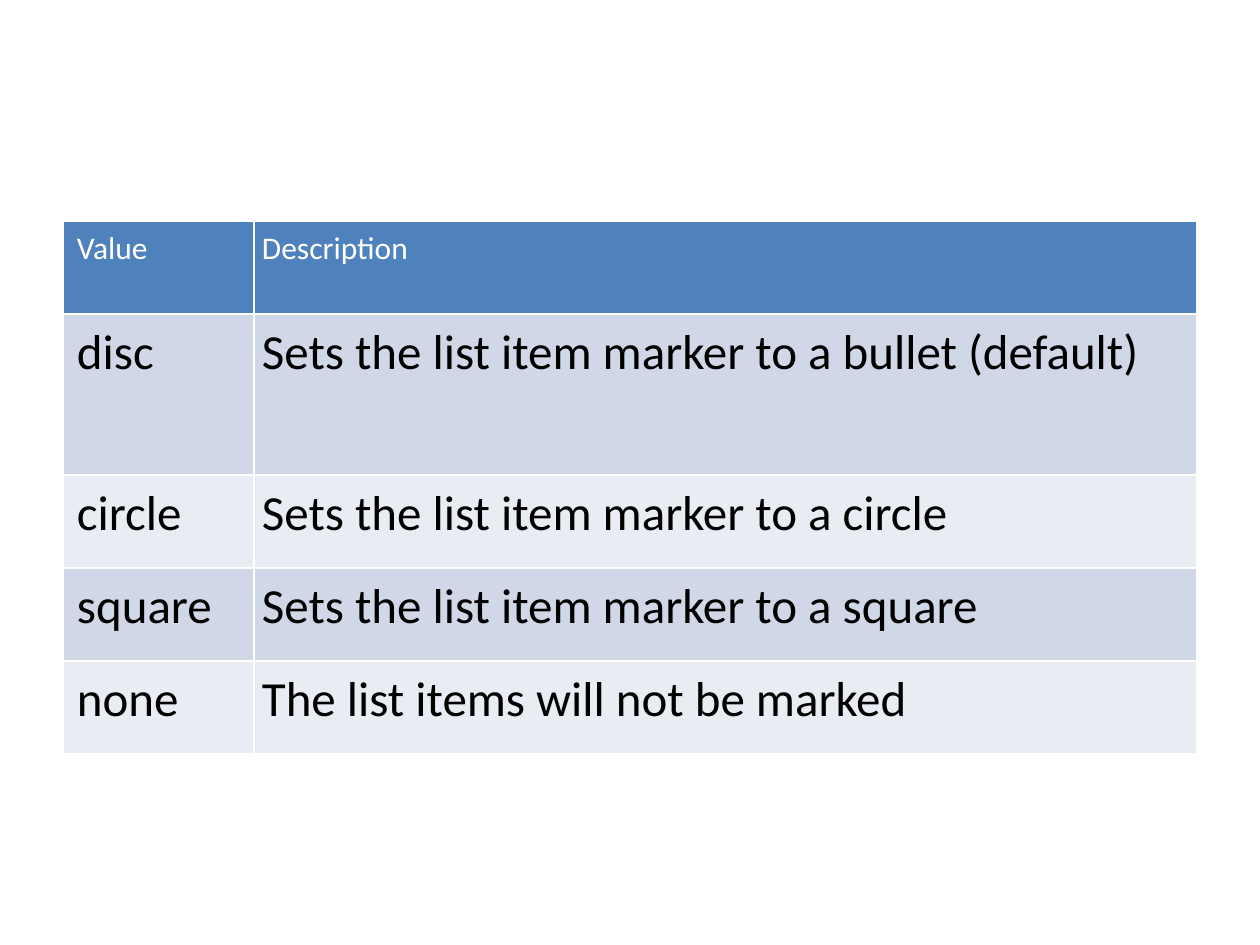
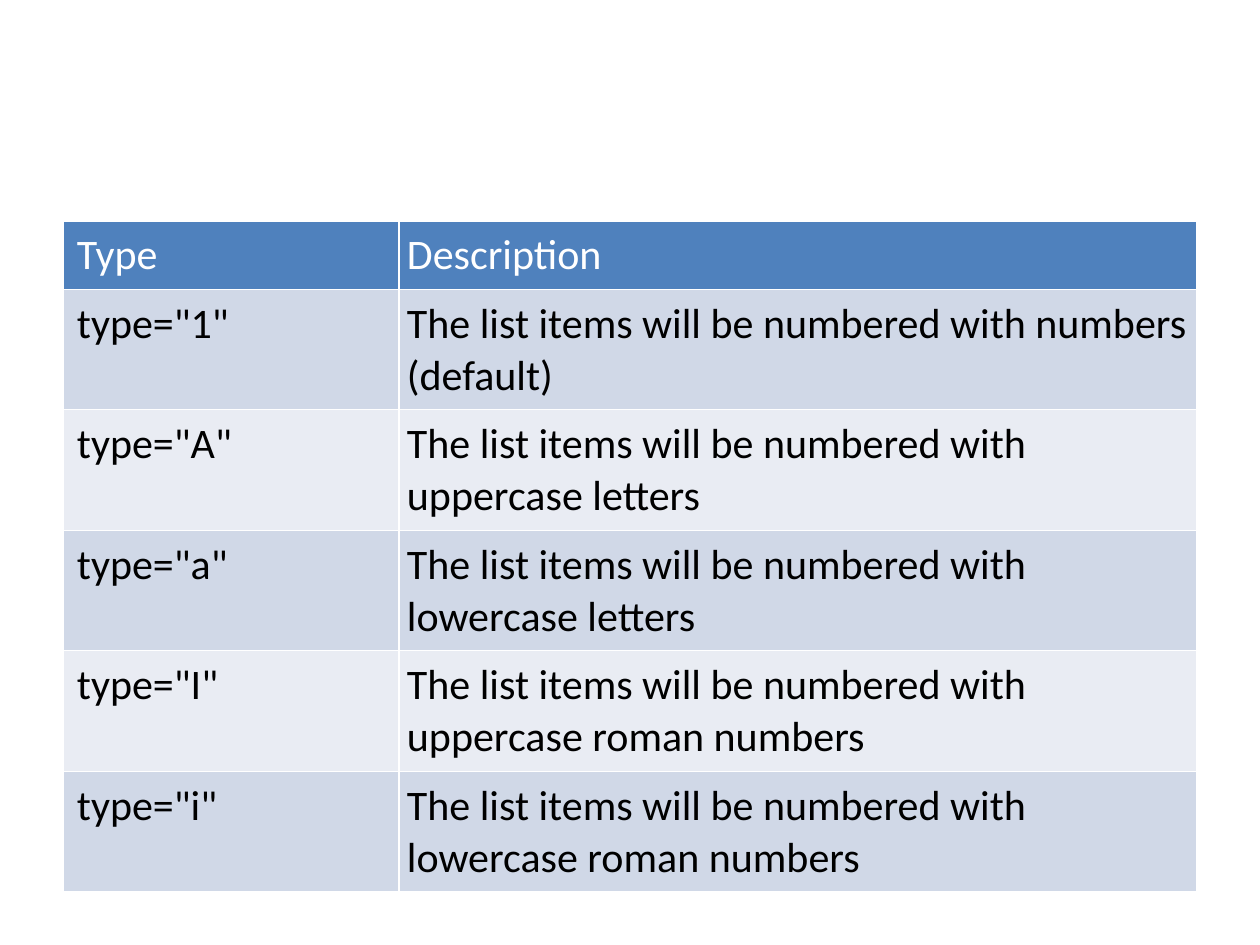
import pptx
import pptx.util
import pptx.dml.color
import pptx.oxml
import pptx.oxml.ns

EMU_PER_PX = 914400 / 126
PAGE_WIDTH, PAGE_HEIGHT = 1260, 945
TABLE_LEFT, TABLE_TOP = 63, 221
TABLE_WIDTH = PAGE_WIDTH - 2 * TABLE_LEFT
CELL_MARGIN, FIRST_MARGIN = 8, 14
FONT = "Calibri"
LINE_SPACING = 1.02
BORDER_POINTS = 0.91
COLORS = {
    "header": "4F81BD",
    "odd": "D0D8E7",
    "even": "E9ECF3",
    "border": "FFFFFF",
    "header_text": "FFFFFF",
    "text": "000000",
}

MARKER_ROWS = [
    ("Value", "Description"),
    ("disc", "Sets the list item marker to a bullet (default)"),
    ("circle", "Sets the list item marker to a circle"),
    ("square", "Sets the list item marker to a square"),
    ("none", "The list items will not be marked"),
]
NUMBERING = [
    ("1", "numbers (default)"),
    ("A", "uppercase letters"),
    ("a", "lowercase letters"),
    ("I", "uppercase roman numbers"),
    ("i", "lowercase roman numbers"),
]
TYPE_ROWS = [("Type", "Description")] + [
    (f'type="{mark}"', f"The list items will be numbered with {kind}")
    for mark, kind in NUMBERING
]


def px(length):
    return pptx.util.Emu(round(length * EMU_PER_PX))


def rgb(name):
    return pptx.dml.color.RGBColor.from_string(COLORS[name])


def set_borders(cell):
    # Border lines must precede the fill inside the cell properties
    properties = cell._tc.get_or_add_tcPr()
    for position, side in enumerate(("lnL", "lnR", "lnT", "lnB")):
        line = pptx.oxml.parse_xml(
            f'<a:{side} {pptx.oxml.ns.nsdecls("a")} w="{pptx.util.Pt(BORDER_POINTS)}">'
            f'<a:solidFill><a:srgbClr val="{COLORS["border"]}"/></a:solidFill></a:{side}>'
        )
        properties.insert(position, line)


def fill_cell(cell, text, fill, text_color, size, left_margin):
    cell.margin_left = px(left_margin)
    cell.margin_right = cell.margin_top = cell.margin_bottom = px(CELL_MARGIN)
    cell.fill.solid()
    cell.fill.fore_color.rgb = rgb(fill)
    set_borders(cell)

    cell.text_frame.text = text
    para = cell.text_frame.paragraphs[0]
    para.line_spacing = LINE_SPACING
    font = para.runs[0].font
    font.name, font.size, font.bold = FONT, pptx.util.Pt(size), False
    font.color.rgb = rgb(text_color)


def add_table_page(deck, rows, first_width, row_heights, header_size, body_size):
    page = deck.slides.add_slide(deck.slide_layouts[6])
    table = page.shapes.add_table(
        len(rows), 2, px(TABLE_LEFT), px(TABLE_TOP), px(TABLE_WIDTH), px(sum(row_heights))
    ).table

    # Column widths and row heights
    table.columns[0].width = px(first_width)
    table.columns[1].width = px(TABLE_WIDTH - first_width)
    for row, height in zip(table.rows, row_heights):
        row.height = px(height)

    # Header row, then alternating bands
    for row_number, texts in enumerate(rows):
        if row_number == 0:
            style = ("header", "header_text", header_size)
        else:
            style = ("odd" if row_number % 2 else "even", "text", body_size)
        for column, text in enumerate(texts):
            margin = CELL_MARGIN if column else FIRST_MARGIN
            fill_cell(table.cell(row_number, column), text, *style, margin)


def main():
    deck = pptx.Presentation()
    deck.slide_width, deck.slide_height = px(PAGE_WIDTH), px(PAGE_HEIGHT)

    # Markers of unordered lists
    add_table_page(deck, MARKER_ROWS, 191, [93, 161, 93, 93, 93], 18, 28)
    # Numbering types of ordered lists
    add_table_page(deck, TYPE_ROWS, 336, [65] + [118] * len(NUMBERING), 24, 24)

    deck.save("out.pptx")


if __name__ == "__main__":
    main()
